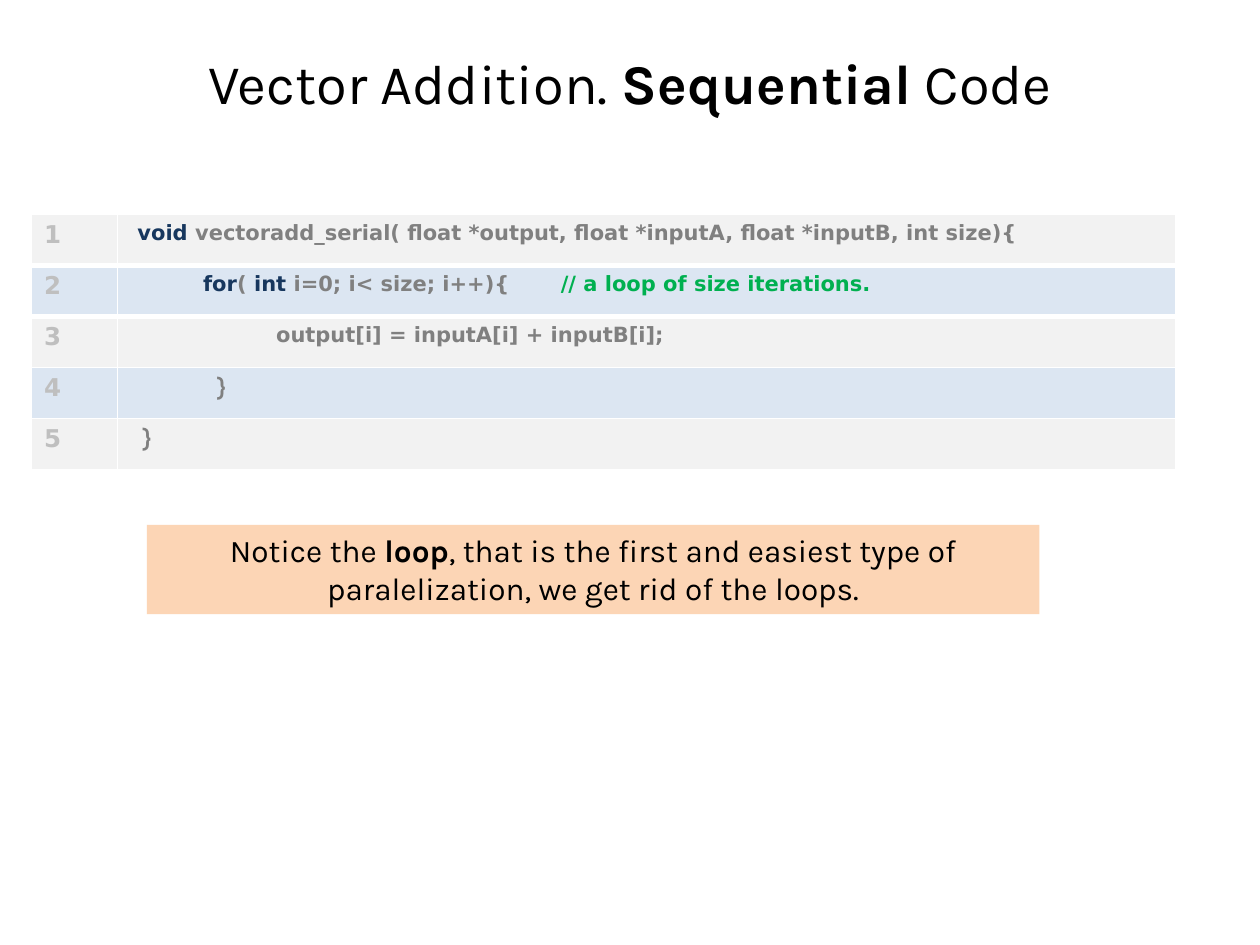
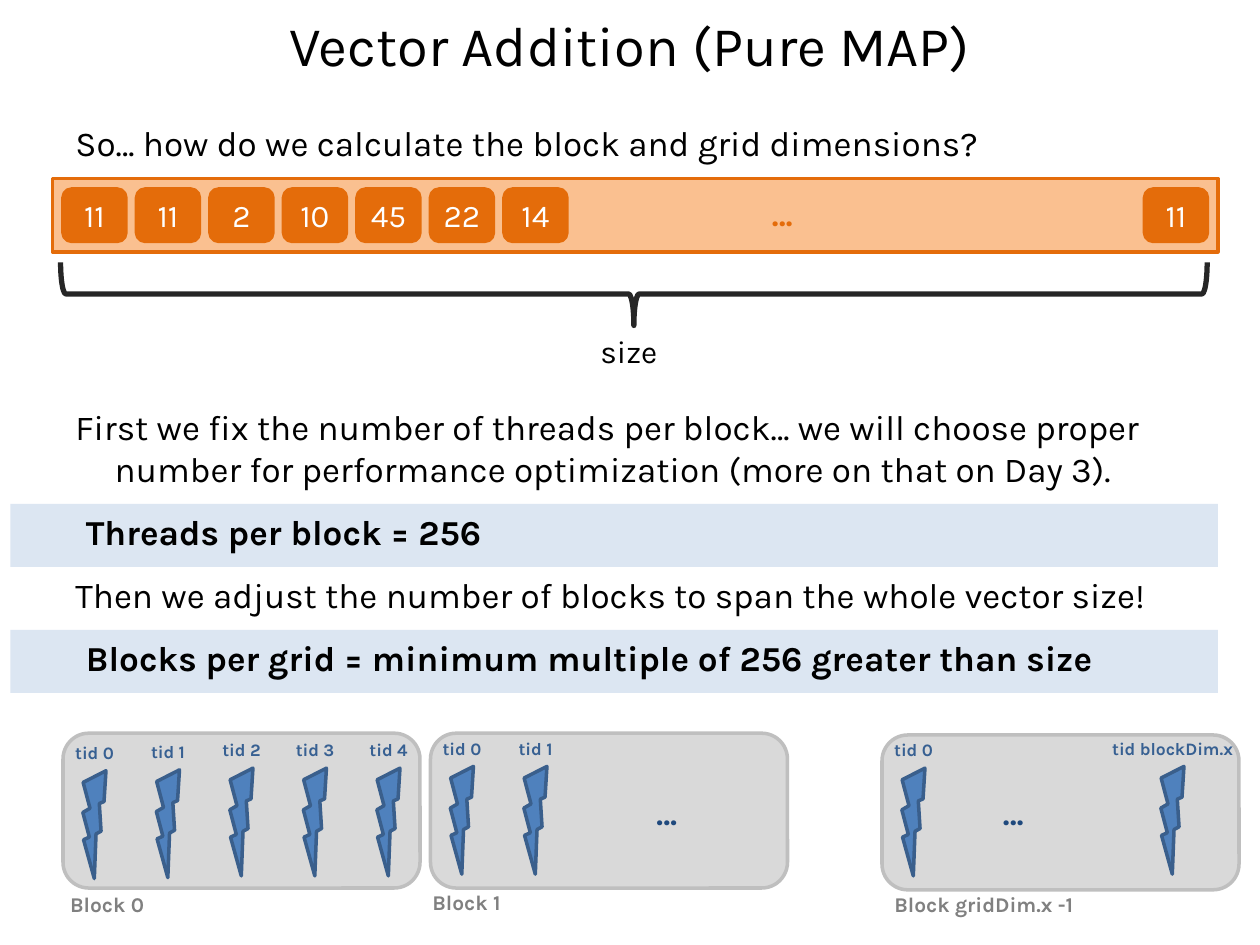
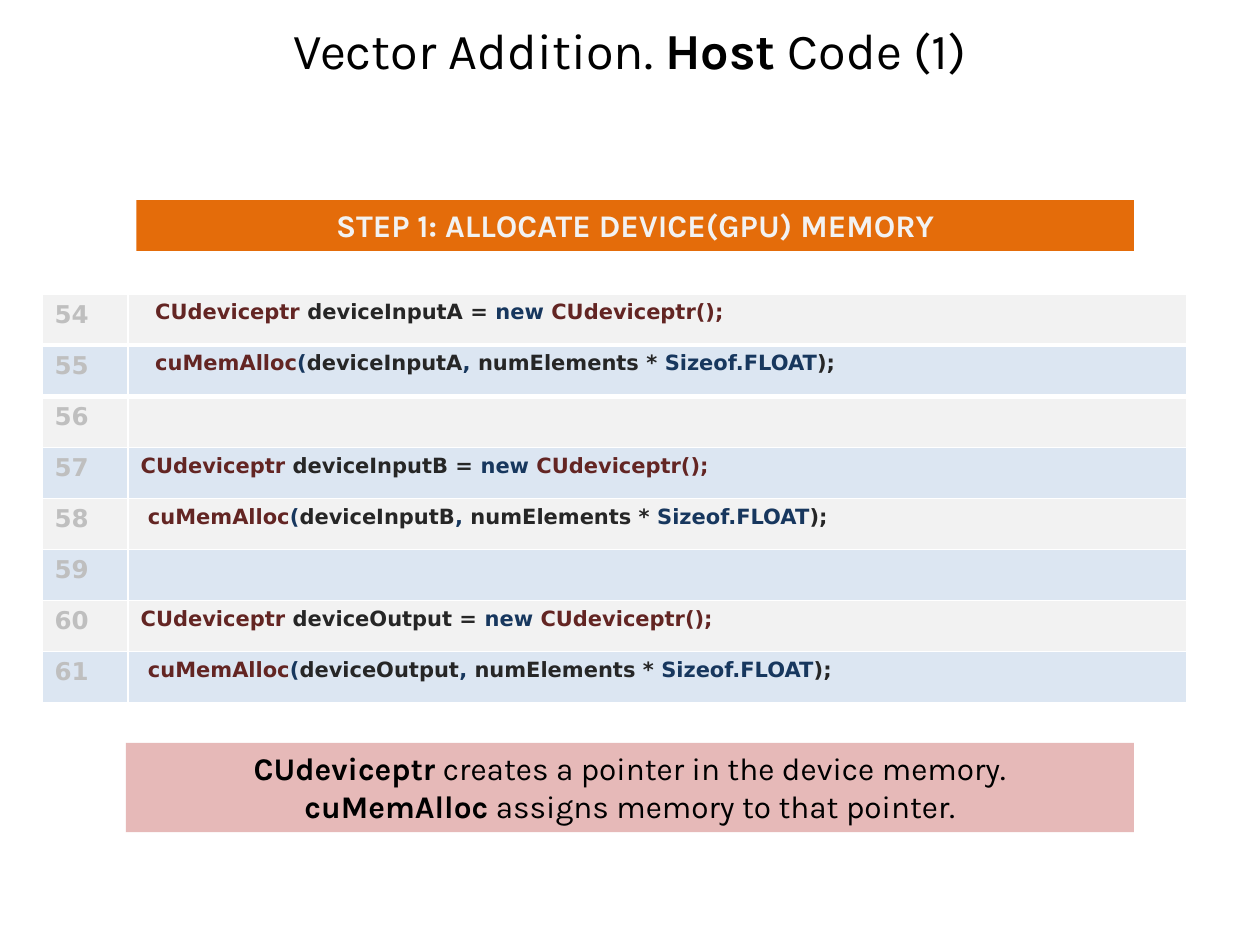
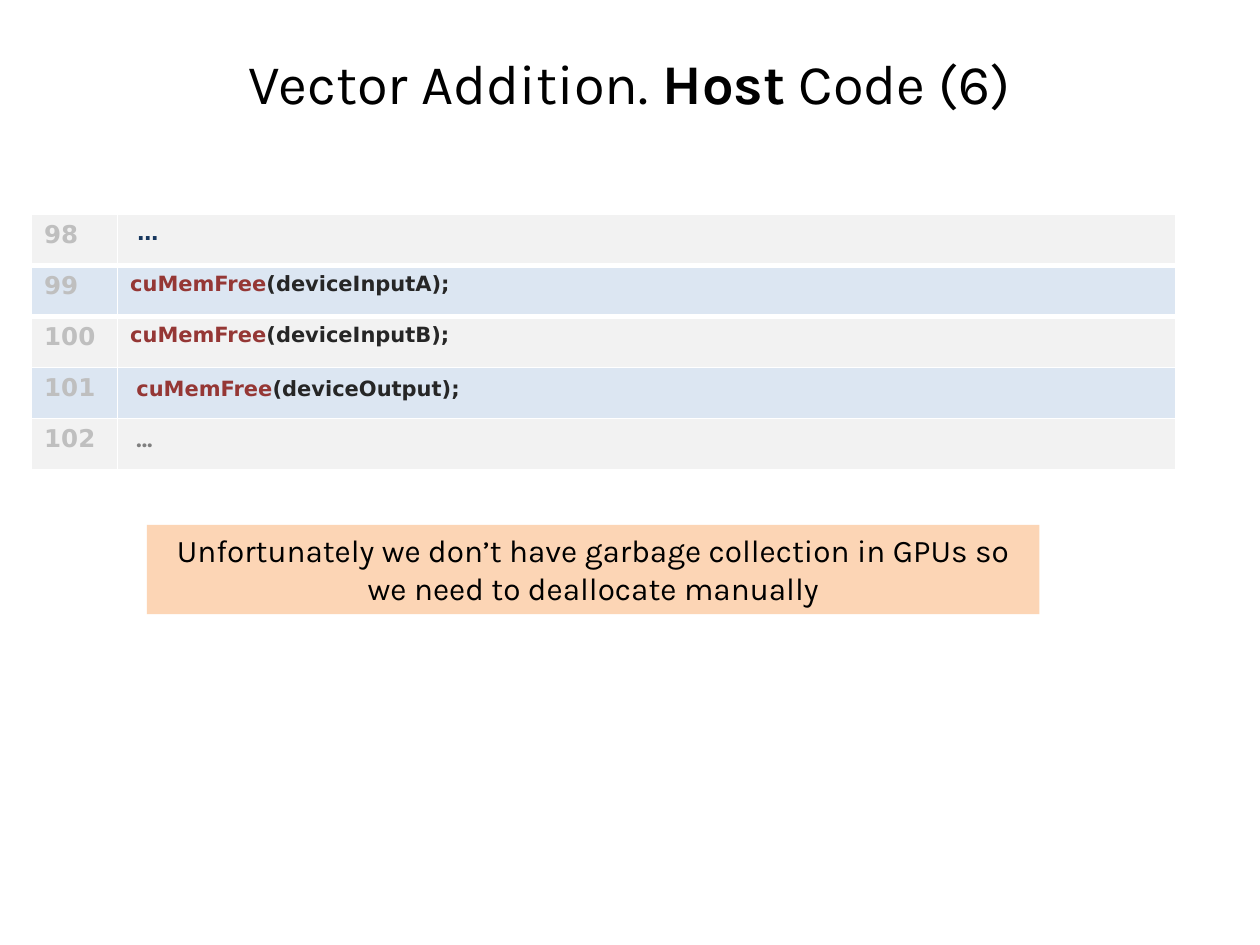
from typing import NamedTuple

from lxml.etree import SubElement
from pptx import Presentation
from pptx.dml.color import RGBColor
from pptx.enum.shapes import MSO_SHAPE
from pptx.enum.text import MSO_ANCHOR, MSO_AUTO_SIZE, PP_ALIGN
from pptx.oxml.ns import qn
from pptx.util import Pt

BLACK = RGBColor(0x00, 0x00, 0x00)
WHITE = RGBColor(0xFF, 0xFF, 0xFF)
PALE_GREY = RGBColor(0xF2, 0xF2, 0xF2)
BLOCK_GREY = RGBColor(0xD9, 0xD9, 0xD9)
SILVER = RGBColor(0xBF, 0xBF, 0xBF)
GREY = RGBColor(0x80, 0x80, 0x80)
CHARCOAL = RGBColor(0x26, 0x26, 0x26)
PALE_BLUE = RGBColor(0xDC, 0xE6, 0xF2)
BOLT_BLUE = RGBColor(0x4F, 0x81, 0xBD)
BOLT_EDGE = RGBColor(0x3A, 0x5F, 0x8C)
LABEL_BLUE = RGBColor(0x37, 0x60, 0x92)
DOTS_BLUE = RGBColor(0x1F, 0x49, 0x7D)
NAVY = RGBColor(0x17, 0x37, 0x5E)
GREEN = RGBColor(0x00, 0xB0, 0x50)
MAROON = RGBColor(0x63, 0x25, 0x23)
RED = RGBColor(0x95, 0x37, 0x35)
ORANGE = RGBColor(0xE4, 0x6C, 0x0A)
VECTOR_ORANGE = RGBColor(0xFA, 0xC0, 0x90)
PEACH = RGBColor(0xFC, 0xD5, 0xB5)
PINK = RGBColor(0xE6, 0xB9, 0xB8)

TEXT_FONT = "Karla"
CODE_FONT = "DejaVu Sans"
CODE_FACE = (CODE_FONT, 12)
BRACE_FACE = (TEXT_FONT, 14)

CODE_COLUMNS = (49.2, 604.8)
CODE_ROW_HEIGHT = 29.2
CELL_STEP = 42


class Code(NamedTuple):
    text: str
    colour: RGBColor
    face: tuple = CODE_FACE


def set_font(font, size, colour, bold=None, name=TEXT_FONT):
    font.name = name
    font.size = Pt(size)
    font.color.rgb = colour
    font.bold = bold


def write_emphasised(paragraph, text):
    for position, part in enumerate(text.split("**")):
        if part:
            run = paragraph.add_run()
            run.text = part
            if position % 2:
                run.font.bold = True


def write_lines(frame, lines, size, colour, bold=None, align=PP_ALIGN.LEFT):
    for position, line in enumerate(lines):
        paragraph = frame.add_paragraph() if position else frame.paragraphs[0]
        paragraph.alignment = align
        set_font(paragraph.font, size, colour, bold)
        write_emphasised(paragraph, line)


def add_titled_slide(deck, text, top=21.6, height=50.4, size=32):
    slide = deck.slides.add_slide(deck.slide_layouts[5])
    title = slide.shapes.title
    title.left, title.top, title.width, title.height = (
        Pt(36), Pt(top), Pt(648), Pt(height))
    title.text_frame.auto_size = MSO_AUTO_SIZE.NONE
    title.text_frame.vertical_anchor = MSO_ANCHOR.MIDDLE
    write_lines(title.text_frame, [text], size, BLACK, align=PP_ALIGN.CENTER)
    return slide


def add_figure(shapes, preset, left, top, width, height, fill, line=None, weight=2):
    figure = shapes.add_shape(preset, Pt(left), Pt(top), Pt(width), Pt(height))
    figure.shadow.inherit = False
    if fill is None:
        figure.fill.background()
    else:
        figure.fill.solid()
        figure.fill.fore_color.rgb = fill
    if line is None:
        figure.line.fill.background()
    else:
        figure.line.color.rgb = line
        figure.line.width = Pt(weight)
    return figure


def add_label(shapes, text, left, top, width, height, size, colour,
              bold=None, align=PP_ALIGN.CENTER):
    frame = shapes.add_textbox(Pt(left), Pt(top), Pt(width), Pt(height)).text_frame
    frame.word_wrap = True
    write_lines(frame, [text], size, colour, bold, align)


def add_callout(slide, lines, left, top, width, height, fill, colour=BLACK, bold=None):
    callout = add_figure(slide.shapes, MSO_SHAPE.RECTANGLE, left, top, width, height, fill)
    callout.text_frame.vertical_anchor = MSO_ANCHOR.TOP
    callout.text_frame.auto_size = MSO_AUTO_SIZE.SHAPE_TO_FIT_TEXT
    write_lines(callout.text_frame, lines, 18, colour, bold, PP_ALIGN.CENTER)


def write_hanging(frame, text, bold=None):
    frame.word_wrap = True
    frame.vertical_anchor = MSO_ANCHOR.TOP
    properties = frame.paragraphs[0]._p.get_or_add_pPr()
    properties.set("marL", str(Pt(58.5)))
    properties.set("indent", str(Pt(-22.5)))
    write_lines(frame, [text], 20, BLACK, bold)


def add_statement(slide, text, top, height):
    statement = slide.shapes.add_textbox(0, Pt(top), Pt(720), Pt(height))
    write_hanging(statement.text_frame, text)


def add_band(slide, text, top):
    band = add_figure(slide.shapes, MSO_SHAPE.RECTANGLE, 6, top, 690, 36, PALE_BLUE)
    write_hanging(band.text_frame, text, True)


def write_code(cell, pieces):
    paragraph = cell.text_frame.paragraphs[0]
    row_face = pieces[0].face if pieces else CODE_FACE
    paragraph.font.name, paragraph.font.size = row_face[0], Pt(row_face[1])
    paragraph.font.bold = True
    for piece in pieces:
        run = paragraph.add_run()
        run.text = piece.text
        run.font.color.rgb = piece.colour
        if piece.face != row_face:
            run.font.name, run.font.size = piece.face[0], Pt(piece.face[1])


def set_cell_border(cell, side, weight):
    properties = cell._tc.get_or_add_tcPr()
    border = SubElement(properties, qn(f"a:{side}"), w=str(Pt(weight)))
    SubElement(SubElement(border, qn("a:solidFill")), qn("a:srgbClr"), val=str(WHITE))


def add_listing(slide, left, top, first_number, code_rows):
    listing = slide.shapes.add_table(
        len(code_rows), 2, Pt(left), Pt(top), Pt(sum(CODE_COLUMNS)),
        Pt(CODE_ROW_HEIGHT * len(code_rows))).table
    for column, width in zip(listing.columns, CODE_COLUMNS):
        column.width = Pt(width)
    for index, pieces in enumerate(code_rows):
        listing.rows[index].height = Pt(CODE_ROW_HEIGHT)
        number_cell, code_cell = listing.cell(index, 0), listing.cell(index, 1)
        for cell in (number_cell, code_cell):
            if index == 0:
                set_cell_border(cell, "lnB", 3)
            elif index == 1:
                set_cell_border(cell, "lnT", 3)
            cell.fill.solid()
            cell.fill.fore_color.rgb = PALE_BLUE if index % 2 else PALE_GREY
        number = number_cell.text_frame.paragraphs[0]
        set_font(number.font, 14, SILVER, True, CODE_FONT)
        number.add_run().text = str(first_number + index)
        write_code(code_cell, pieces)


def add_vector_cell(slide, value, left):
    cell = add_figure(slide.shapes, MSO_SHAPE.ROUNDED_RECTANGLE,
                      left, 108, 36, 30, ORANGE, ORANGE)
    frame = cell.text_frame
    frame.margin_left = frame.margin_right = 0
    frame.vertical_anchor = MSO_ANCHOR.MIDDLE
    write_lines(frame, [value], 18, WHITE, align=PP_ALIGN.CENTER)


def add_vector(slide, values, last_value):
    add_figure(slide.shapes, MSO_SHAPE.RECTANGLE, 30, 102, 666, 42, VECTOR_ORANGE, ORANGE)
    for index, value in enumerate(values):
        add_vector_cell(slide, value, 36 + CELL_STEP * index)
    add_vector_cell(slide, last_value, 654)
    add_label(slide.shapes, "…", 396, 108, 102, 30, 18, ORANGE, True)
    brace = add_figure(slide.shapes, MSO_SHAPE.RIGHT_BRACE,
                       344.2, -159.6, 36, 655.2, None, CHARCOAL, 3)
    brace.rotation = 90
    add_label(slide.shapes, "size", 336, 186, 60, 30, 18, BLACK, align=PP_ALIGN.LEFT)


def add_block(slide, name, left, top, name_left, name_top, name_width):
    add_figure(slide.shapes, MSO_SHAPE.ROUNDED_RECTANGLE,
               left, top, 204, 88.5, BLOCK_GREY, SILVER)
    add_label(slide.shapes, name, name_left, name_top, name_width, 21.6,
              12, GREY, True, PP_ALIGN.LEFT)


def add_thread(slide, name, centre, top, width=60):
    thread = slide.shapes.add_group_shape().shapes
    add_label(thread, name, centre - width / 2, top, width, 19.4, 10, LABEL_BLUE, True)
    bolt = add_figure(thread, MSO_SHAPE.LIGHTNING_BOLT, centre - 14, top + 19,
                      25.2, 60, BOLT_BLUE, BOLT_EDGE)
    bolt.rotation = 20.5


def build_sequential(deck):
    slide = add_titled_slide(deck, "Vector Addition. **Sequential** Code")
    add_listing(slide, 18, 122.4, 1, [
        [Code(" void ", NAVY),
         Code("vectoradd_serial( float *output, float *inputA, "
              "float *inputB, int size){", GREY)],
        [Code("          for", NAVY), Code("(", GREY), Code(" int ", NAVY),
         Code("i=0; i< size; i++){       ", GREY),
         Code("// a loop of size iterations.", GREEN)],
        [Code("                    output[i] = inputA[i] + inputB[i];", GREY)],
        [Code("              }", GREY, BRACE_FACE)],
        [Code("  }", GREY, BRACE_FACE)],
    ])
    add_callout(slide, ["Notice the **loop**, that is the first and easiest type of "
                        "paralelization, we get rid of the loops."],
                84, 300, 510, 51, PEACH)


def build_map(deck):
    slide = add_titled_slide(deck, "Vector Addition (Pure MAP)", top=0)
    add_statement(slide, "So… how do we calculate the block and grid dimensions?", 66, 66)
    add_vector(slide, ["11", "11", "2", "10", "45", "22", "14"], "11")
    add_statement(slide, "First we fix the number of threads per block… we will choose "
                  "proper number for performance optimization (more on that on Day 3).",
                  228, 66)
    add_band(slide, "Threads per block = 256", 288)
    add_statement(slide, "Then we adjust the number of blocks to span the whole "
                  "vector size!", 324, 42)
    add_band(slide, "Blocks per grid = minimum multiple of 256 greater than size", 360)

    add_block(slide, "Block 0", 36, 419, 33, 506, 84)
    add_block(slide, "Block 1", 246, 419, 240, 505, 84)
    add_block(slide, "Block gridDim.x -1", 504, 420, 504, 506, 132)
    for index, top in enumerate((420.5, 420, 419, 419, 419)):
        add_thread(slide, f"tid {index}", 54 + CELL_STEP * index, top)
    for index in range(2):
        add_thread(slide, f"tid {index}", 264 + CELL_STEP * index, 418)
    add_thread(slide, "tid 0", 522, 419)
    add_thread(slide, "tid blockDim.x", 670, 418, 90)
    for left in (330, 528):
        add_label(slide.shapes, "…", left, 450, 102, 30, 18, DOTS_BLUE, True)


def allocation(variable, declare_indent, call_indent):
    return [
        [Code(declare_indent + "CUdeviceptr ", MAROON), Code(f"{variable} = ", CHARCOAL),
         Code("new ", NAVY), Code("CUdeviceptr();", MAROON)],
        [Code(call_indent + "cuMemAlloc", MAROON), Code("(", NAVY),
         Code(variable, CHARCOAL), Code(", ", NAVY), Code("numElements * ", CHARCOAL),
         Code("Sizeof.FLOAT", NAVY), Code(");", CHARCOAL)],
    ]


def build_allocation(deck):
    slide = add_titled_slide(deck, "Vector Addition. **Host** Code (1)", 12, 32.4, 28.8)
    add_listing(slide, 24, 168, 54, [
        *allocation("deviceInputA", "  ", "  "),
        [],
        *allocation("deviceInputB", "", " "),
        [],
        *allocation("deviceOutput", "", " "),
    ])
    add_callout(slide, ["STEP 1: ALLOCATE DEVICE(GPU) MEMORY"],
                78, 114.4, 570, 29, ORANGE, PALE_GREY, True)
    add_callout(slide, ["**CUdeviceptr** creates a pointer in the device memory.",
                        "**cuMemAlloc** assigns memory to that pointer."],
                72, 424.5, 576, 51, PINK)


def release(variable):
    return [Code("cuMemFree", RED), Code(f"({variable});", CHARCOAL)]


def build_release(deck):
    slide = add_titled_slide(deck, "Vector Addition. **Host** Code (6)")
    add_listing(slide, 18, 122.4, 98, [
        [Code(" …", NAVY)],
        release("deviceInputA"),
        release("deviceInputB"),
        [Code(" ", GREY, BRACE_FACE), *release("deviceOutput")],
        [Code(" …", GREY, BRACE_FACE)],
    ])
    add_callout(slide, ["Unfortunately we don’t have garbage collection in GPUs so "
                        "we need to deallocate manually"],
                84, 300, 510, 51, PEACH)


def main():
    deck = Presentation()
    deck.slide_width, deck.slide_height = Pt(720), Pt(540)
    build_sequential(deck)
    build_map(deck)
    build_allocation(deck)
    build_release(deck)
    deck.save("out.pptx")


if __name__ == "__main__":
    main()
